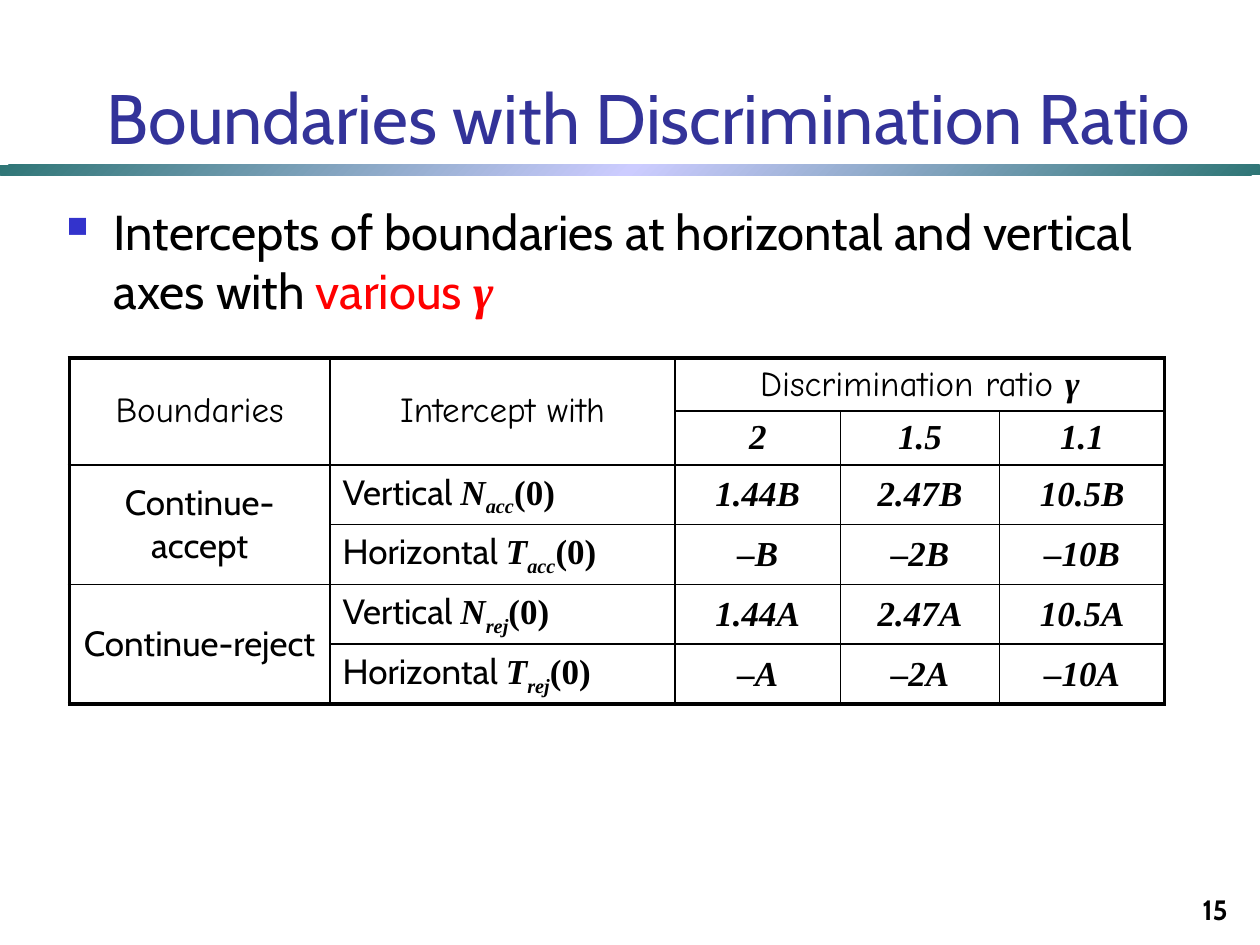
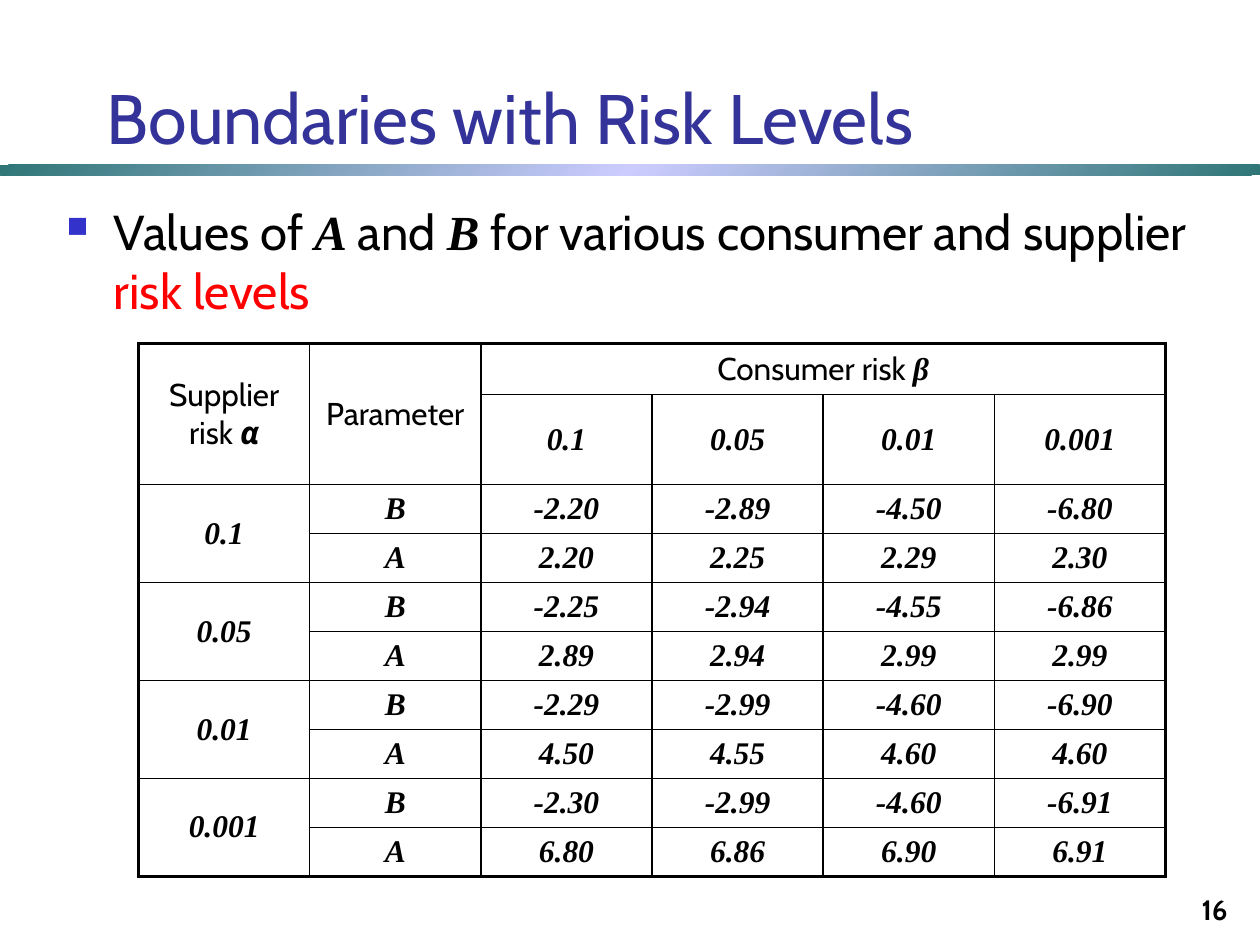
import pptx
import pptx.dml.color
import pptx.enum.shapes
import pptx.enum.text
import pptx.oxml
import pptx.util
from lxml import etree

Pt = pptx.util.Pt
ALIGN = pptx.enum.text.PP_ALIGN
ANCHOR = pptx.enum.text.MSO_ANCHOR
NAMESPACE = "http://schemas.openxmlformats.org/drawingml/2006/main"

COLORS = {"text": "000000", "title": "333399", "accent": "FF0000",
          "bullet": "3333CC", "band_edge": "2F7676", "band_middle": "CCCCFF"}

# Run styles; a run may combine several names, later ones win
STYLES = {
    "plain": {"name": "Cabin", "bold": False, "italic": False},
    "hand": {"name": "Comic Neue"},
    "math": {"name": "Times New Roman", "bold": True, "italic": True},
    "upright": {"italic": False},
    "strong": {"bold": True, "italic": True},
    "title": {"color": "title"},
    "accent": {"color": "accent"},
    "sub": {"baseline": "-25000"},
}


def fill_text(frame, runs, size, align=ALIGN.LEFT):
    """Write (text, styles) runs into the first paragraph of a text frame."""
    paragraph = frame.paragraphs[0]
    paragraph.alignment = align
    for text, styles in runs:
        run = paragraph.add_run()
        run.text = text
        values = {"color": "text", "size": Pt(size)}
        for style in ["plain"] + styles.split():
            values.update(STYLES[style])
        run.font.color.rgb = pptx.dml.color.RGBColor.from_string(COLORS[values.pop("color")])
        baseline = values.pop("baseline", None)
        for attribute, value in values.items():
            setattr(run.font, attribute, value)
        if baseline:
            run.font._element.set("baseline", baseline)
    return paragraph


def add_text(slide, box, runs, size, align=ALIGN.LEFT, anchor=ANCHOR.TOP):
    """Add a wrapping text box and return its paragraph."""
    frame = slide.shapes.add_textbox(*map(Pt, box)).text_frame
    frame.word_wrap = True
    frame.vertical_anchor = anchor
    return fill_text(frame, runs, size, align)


# Table of intercepts
ratio_rows = [
    [[("Boundaries", "hand")], [("Intercept with", "hand")],
     [("Discrimination ratio ", "hand"), ("γ", "math")], None, None],
    [None, None, "2", "1.5", "1.1"],
]
for boundary, subscript, letter in [("accept", "acc", "B"), ("reject", "rej", "A")]:
    for axis, symbol, factors in [("Vertical ", "N", ["1.44", "2.47", "10.5"]),
                                  ("Horizontal ", "T", ["–", "–2", "–10"])]:
        name = [("Continue-" + boundary, "plain")] if symbol == "N" else None
        intercept = [(axis, "plain"), (symbol, "math"), (subscript, "math sub"),
                     ("(0)", "math upright")]
        ratio_rows.append([name, intercept] + [factor + letter for factor in factors])

# Table of risk levels
levels = ["0.1", "0.05", "0.01", "0.001"]
values_b = ["-2.20 -2.89 -4.50 -6.80", "-2.25 -2.94 -4.55 -6.86",
            "-2.29 -2.99 -4.60 -6.90", "-2.30 -2.99 -4.60 -6.91"]
values_a = ["2.20 2.25 2.29 2.30", "2.89 2.94 2.99 2.99",
            "4.50 4.55 4.60 4.60", "6.80 6.86 6.90 6.91"]
risk_rows = [
    [[("Supplier risk ", "plain"), ("α", "strong")], [("Parameter", "plain")],
     [("Consumer risk ", "plain"), ("β", "math")], None, None, None],
    [None, None] + levels,
]
for level, row_b, row_a in zip(levels, values_b, values_a):
    risk_rows.append([level, "B"] + row_b.split())
    risk_rows.append([None, "A"] + row_a.split())

pages = [
    {"number": "15", "title": "Boundaries with Discrimination Ratio",
     "body": [("Intercepts of boundaries at horizontal and vertical axes with ", "plain"),
              ("various ", "accent"), ("γ", "math accent")],
     "rows": ratio_rows, "left": 39.6, "top": 204.6, "size": 20,
     "widths": [149, 197.2, 94.5, 91, 94.3],
     "heights": [30.3, 30.6] + [34.2] * 4},
    {"number": "16", "title": "Boundaries with Risk Levels",
     "body": [("Values of ", "plain"), ("A", "math"), (" and ", "plain"), ("B", "math"),
              (" for various consumer and supplier ", "plain"), ("risk levels", "accent")],
     "rows": risk_rows, "left": 79.2, "top": 196.4, "size": 18,
     "widths": [97.8] * 6,
     "heights": [29.1, 51.4] + [27.3] * 8},
]

presentation = pptx.Presentation()
presentation.slide_width, presentation.slide_height = Pt(720), Pt(540)

for page in pages:
    slide = presentation.slides.add_slide(presentation.slide_layouts[6])

    # Gradient band under the title
    band = slide.shapes.add_shape(pptx.enum.shapes.MSO_SHAPE.RECTANGLE,
                                  Pt(0), Pt(94.2), Pt(720), Pt(6))
    band.shadow.inherit = False
    band.line.fill.background()
    band.fill.gradient()
    stops = "".join(
        f'<a:gs pos="{position}"><a:srgbClr val="{COLORS[color]}"/></a:gs>'
        for position, color in [(0, "band_edge"), (50000, "band_middle"), (100000, "band_edge")])
    gradient = band._element.spPr.find(f"{{{NAMESPACE}}}gradFill")
    gradient.getparent().replace(gradient, pptx.oxml.parse_xml(
        f'<a:gradFill xmlns:a="{NAMESPACE}" rotWithShape="1"><a:gsLst>{stops}</a:gsLst>'
        '<a:lin ang="2700000" scaled="1"/></a:gradFill>'))

    # Page number, title and bulleted statement
    add_text(slide, (558.7, 496.8, 149.8, 36), [(page["number"], "strong upright")], 16,
             ALIGN.RIGHT, ANCHOR.BOTTOM)
    add_text(slide, (54, 26, 666, 68.4), [(page["title"], "title")], 40, anchor=ANCHOR.BOTTOM)
    statement = add_text(slide, (31, 111.6, 674.6, 80), page["body"], 28)
    properties = statement._p.get_or_add_pPr()
    properties.set("marL", str(Pt(27)))
    properties.set("indent", str(-Pt(27)))
    for bullet in [f'buClr xmlns:a="{NAMESPACE}"><a:srgbClr val="{COLORS["bullet"]}"/></a:buClr>',
                   f'buSzPct xmlns:a="{NAMESPACE}" val="60000"/>',
                   f'buChar xmlns:a="{NAMESPACE}" char="■"/>']:
        properties.append(pptx.oxml.parse_xml("<a:" + bullet))

    # Table
    rows, widths, heights = page["rows"], page["widths"], page["heights"]
    table = slide.shapes.add_table(len(rows), len(widths), Pt(page["left"]), Pt(page["top"]),
                                   Pt(sum(widths)), Pt(sum(heights))).table
    table.first_row = table.horz_banding = False
    for column, width in zip(table.columns, widths):
        column.width = Pt(width)
    for row, height in zip(table.rows, heights):
        row.height = Pt(height)

    # Merged cells: ratio header, then pairs of rows in the label columns
    table.cell(0, 2).merge(table.cell(0, len(widths) - 1))
    table.cell(0, 1).merge(table.cell(1, 1))
    for top in range(0, len(rows), 2):
        table.cell(top, 0).merge(table.cell(top + 1, 0))

    for row_index, row in enumerate(rows):
        for column_index, content in enumerate(row):
            cell = table.cell(row_index, column_index)
            for attribute, value in {"vertical_anchor": ANCHOR.MIDDLE,
                                     "margin_left": Pt(7.2), "margin_right": Pt(7.2),
                                     "margin_top": Pt(3.2), "margin_bottom": Pt(3.2)}.items():
                setattr(cell, attribute, value)

            # Thick lines outside, thin lines inside
            outer = {"lnL": column_index == 0,
                     "lnR": column_index + max(cell.span_width, 1) == len(widths),
                     "lnT": row_index == 0,
                     "lnB": row_index + max(cell.span_height, 1) == len(rows)}
            for tag, is_outer in outer.items():
                if cell.is_spanned and not is_outer:
                    continue
                line = etree.SubElement(cell._tc.get_or_add_tcPr(), f"{{{NAMESPACE}}}{tag}",
                                        w=str(Pt(2.25 if is_outer else 1)))
                solid = etree.SubElement(line, f"{{{NAMESPACE}}}solidFill")
                etree.SubElement(solid, f"{{{NAMESPACE}}}srgbClr", val=COLORS["text"])
            cell.fill.background()

            if content:
                runs = [(content, "math")] if isinstance(content, str) else content
                is_intercept = len(runs) == 4
                fill_text(cell.text_frame, runs, page["size"],
                          ALIGN.LEFT if is_intercept else ALIGN.CENTER)

presentation.save("out.pptx")
